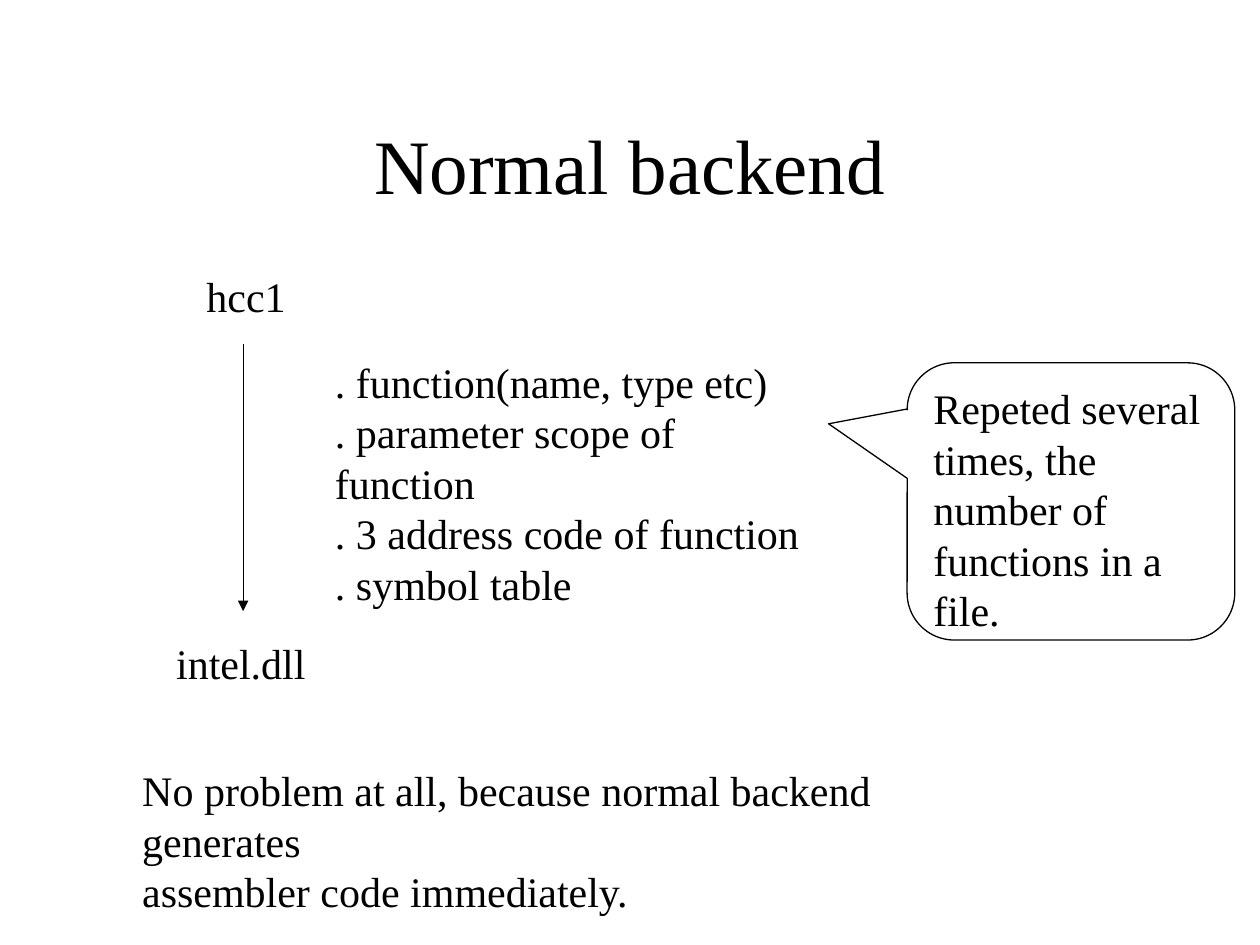
from lxml import etree
from pptx import Presentation
from pptx.dml.color import RGBColor
from pptx.enum.shapes import MSO_CONNECTOR, MSO_SHAPE
from pptx.enum.text import MSO_ANCHOR, PP_ALIGN
from pptx.oxml.ns import qn
from pptx.util import Inches, Pt

STRAIGHT = MSO_CONNECTOR.STRAIGHT
CALLOUT = MSO_SHAPE.ROUNDED_RECTANGULAR_CALLOUT
TOP, MIDDLE = MSO_ANCHOR.TOP, MSO_ANCHOR.MIDDLE
LEFT, CENTER = PP_ALIGN.LEFT, PP_ALIGN.CENTER

BLACK = RGBColor(0, 0, 0)
WIDTH, HEIGHT = Inches(10), Inches(7.5)
COLUMNS, ROWS = 100, 75
BODY_FONT = {"name": "Times New Roman", "size": Pt(24)}
TITLE_FONT = {**BODY_FONT, "size": Pt(44)}
THIN_LINE = Pt(0.75)
CALLOUT_SHAPE = (-0.74, -0.28, 0.17)

LABELS = [
    ((15.4, 21, 8.3, 5), ["hcc1"]),
    ((13, 50.1, 12.3, 5), ["intel.dll"]),
    ((25.6, 27.8, 40.9, 17), [
        ". function(name, type etc)",
        ". parameter scope of function",
        ". 3 address code of function",
        ". symbol table",
    ]),
    ((10.3, 60.2, 73.2, 9), [
        "No problem at all, because normal backend generates",
        "assembler code immediately.",
    ]),
]


def place(column, row, across, down):
    """Turn two pairs of grid columns and rows into slide lengths."""
    return [
        round(count * length / total)
        for count, length, total in (
            (column, WIDTH, COLUMNS), (row, HEIGHT, ROWS),
            (across, WIDTH, COLUMNS), (down, HEIGHT, ROWS),
        )
    ]


def write(box, lines, font=BODY_FONT, align=LEFT, anchor=TOP, wrap=True):
    """Fill a box with one paragraph for each line."""
    frame = box.text_frame
    frame.text = "\n".join(lines)
    frame.word_wrap = wrap
    frame.vertical_anchor = anchor
    for para in frame.paragraphs:
        para.alignment = align
        for span in para.runs:
            for key, value in font.items():
                setattr(span.font, key, value)
            span.font.color.rgb = BLACK


def draw_line(shape):
    """Give a shape or connector a thin black line."""
    shape.line.color.rgb = BLACK
    shape.line.width = THIN_LINE


def add_text(page, cell, lines, **style):
    """Add a text box on the grid."""
    write(page.shapes.add_textbox(*place(*cell)), lines, **style)


def add_arrow(page, ends):
    """Add a straight arrow between two grid points."""
    arrow = page.shapes.add_connector(STRAIGHT, *place(*ends))
    draw_line(arrow)
    etree.SubElement(arrow.line._get_or_add_ln(), qn("a:tailEnd"), type="triangle")
    etree.SubElement(arrow._element.spPr, qn("a:effectLst"))


def add_callout(page, cell, lines):
    """Add an unfilled rounded callout pointing left."""
    callout = page.shapes.add_shape(CALLOUT, *place(*cell))
    for index, value in enumerate(CALLOUT_SHAPE):
        callout.adjustments[index] = value
    callout.shadow.inherit = False
    callout.fill.background()
    draw_line(callout)
    write(callout, lines)


def main():
    """Build the backend slide and save it."""
    deck = Presentation()
    deck.slide_width, deck.slide_height = WIDTH, HEIGHT
    page = deck.slides.add_slide(deck.slide_layouts[6])
    add_text(page, (7.5, 6.7, 85, 12.5), ["Normal backend"],
             font=TITLE_FONT, align=CENTER, anchor=MIDDLE)
    for cell, lines in LABELS:
        add_text(page, cell, lines, wrap=False)
    add_arrow(page, (19.3, 27.3, 19.3, 48.5))
    add_callout(page, (72, 28.8, 26, 22),
                ["Repeted several times, the number of functions in a file."])
    deck.save("out.pptx")


if __name__ == "__main__":
    main()
